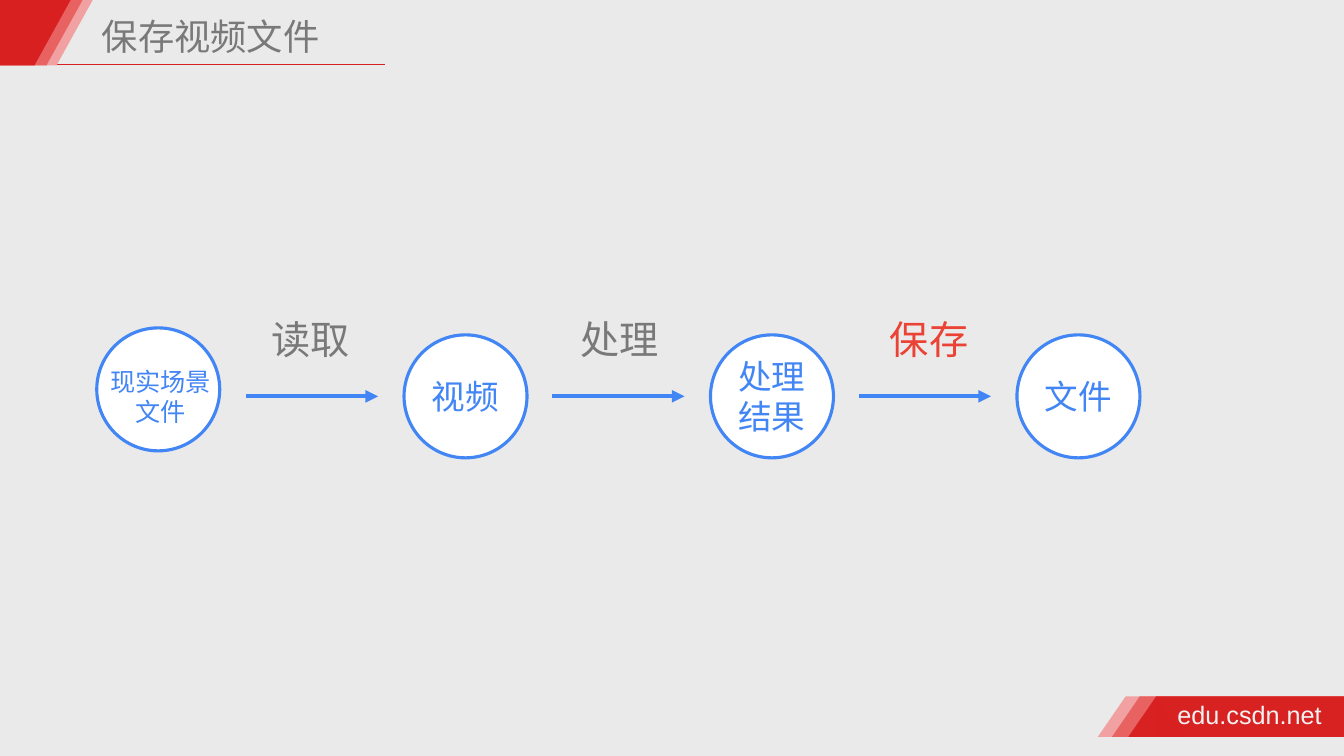
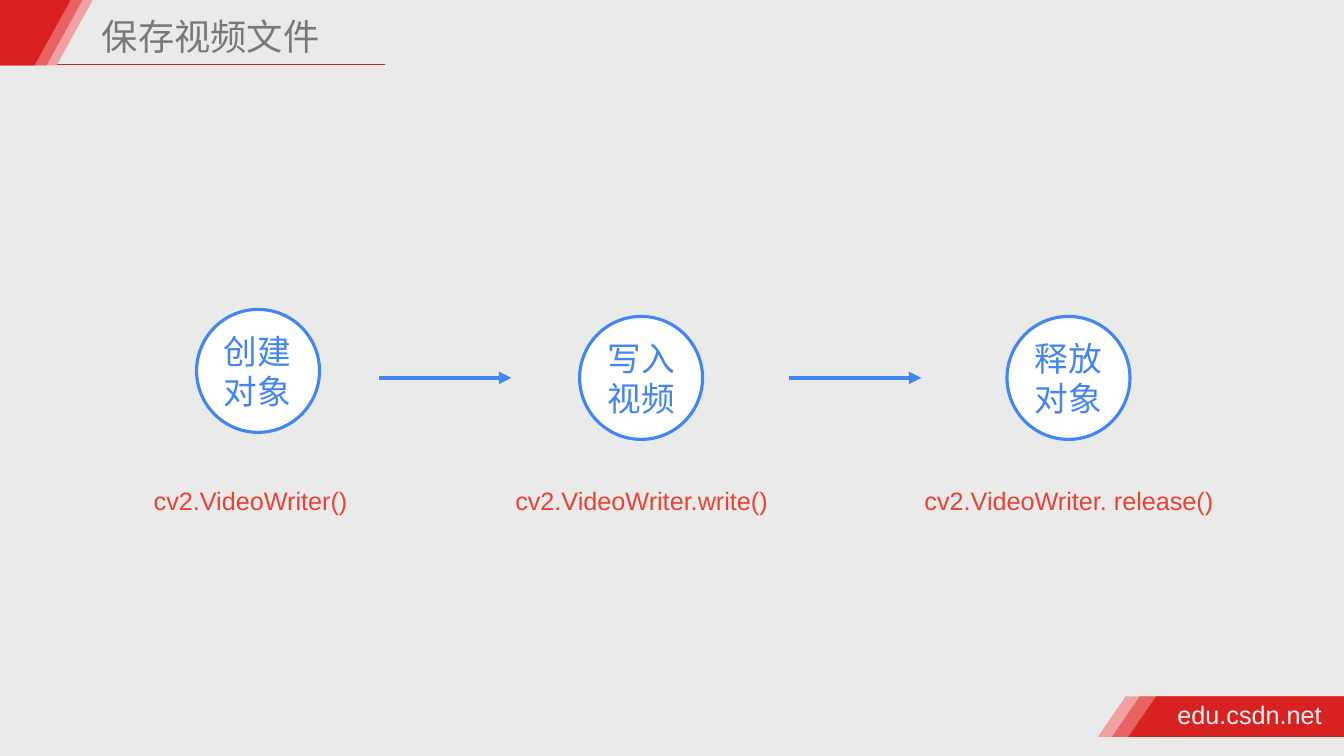
from dataclasses import dataclass

from lxml import etree
from pptx import Presentation
from pptx.dml.color import RGBColor
from pptx.enum import shapes, text
from pptx.oxml import ns
from pptx.util import Pt

BACKGROUND = RGBColor(0xEA, 0xEA, 0xEA)
RED = RGBColor(0xD8, 0x20, 0x20)
CORAL = RGBColor(0xE8, 0x62, 0x62)
PINK = RGBColor(0xF1, 0xA1, 0xA1)
BLUE = RGBColor(0x42, 0x85, 0xF4)
ACCENT = RGBColor(0xEA, 0x43, 0x35)
GREY = RGBColor(0x79, 0x79, 0x79)
WHITE = RGBColor(0xFF, 0xFF, 0xFF)
PALE = RGBColor(0xF2, 0xF2, 0xF2)

CHINESE = "Noto Sans CJK SC"
LATIN = "Arial"
PAGE_WIDTH, PAGE_HEIGHT = 960, 540
DIAMETER = 87.84
ARROW_LENGTH = 94.6


@dataclass
class Box:
    left: float
    top: float
    width: float
    height: float

    def lengths(self):
        return [Pt(value) for value in (self.left, self.top, self.width, self.height)]


def write(shape, lines, size, color, font=CHINESE, align=text.PP_ALIGN.CENTER,
          spacing=None, wrap=True, side=3.6):
    frame = shape.text_frame
    frame.word_wrap = wrap
    frame.margin_left = frame.margin_right = Pt(side)
    frame.margin_top = frame.margin_bottom = Pt(3.6)
    for index, line in enumerate(lines):
        para = frame.add_paragraph() if index else frame.paragraphs[0]
        para.alignment = align
        if spacing:
            para.line_spacing = spacing
        span = para.add_run()
        span.text = line
        span.font.size = Pt(size)
        span.font.name = font
        span.font.color.rgb = color
        east_asian = etree.SubElement(span.font._element, ns.qn("a:ea"))
        east_asian.set("typeface", font)
    return frame


def add_text(page, box, lines, size, color, grow=True, **style):
    frame = write(page.shapes.add_textbox(*box.lengths()), lines, size, color, **style)
    if grow:
        frame.auto_size = text.MSO_AUTO_SIZE.SHAPE_TO_FIT_TEXT


def add_filled(page, kind, box, color, alpha=None):
    shape = page.shapes.add_shape(kind, *box.lengths())
    shape.shadow.inherit = False
    shape.fill.solid()
    shape.fill.fore_color.rgb = color
    shape.line.fill.background()
    if alpha:
        tint = shape._element.spPr.find(".//" + ns.qn("a:srgbClr"))
        etree.SubElement(tint, ns.qn("a:alpha")).set("val", str(alpha * 1000))
    return shape


def add_line(page, start, end, y, color, width, arrow=False):
    line = page.shapes.add_connector(
        shapes.MSO_CONNECTOR.STRAIGHT, Pt(start), Pt(y), Pt(end), Pt(y))
    line.line.color.rgb = color
    line.line.width = Pt(width)
    if arrow:
        etree.SubElement(line.line._get_or_add_ln(), ns.qn("a:tailEnd")).set("type", "triangle")
    etree.SubElement(line._element.spPr, ns.qn("a:effectLst"))


def slanted_band(page, box, slant, color, pointing_down=False, alpha=None):
    add_filled(page, shapes.MSO_SHAPE.RECTANGLE, box, color, alpha)
    middle = box.left + box.width if pointing_down else box.left
    corner = Box(middle - slant / 2, box.top, slant, box.height)
    triangle = add_filled(page, shapes.MSO_SHAPE.ISOSCELES_TRIANGLE, corner, color, alpha)
    if pointing_down:
        triangle.rotation = 180


def header(page, box, title):
    add_line(page, box.left + 35.3, box.left + 275, box.top + 46.1, RED, 1)
    for width, color in ((40.3, PINK), (33.1, CORAL), (24.5, RED)):
        slanted_band(page, Box(box.left, box.top, width, box.height), 51.84, color, True)
    add_text(page, Box(box.left + 69.1, box.top + 3.6, 277.9, 40.3), [title], 25.9, GREY,
             grow=False, align=text.PP_ALIGN.LEFT, spacing=1.1)


def footer(page, box):
    for offset, color, alpha in ((0, PINK, None), (10.1, CORAL, None), (21.8, RED, 97)):
        band = Box(box.left + offset, box.top, box.width - offset, box.height)
        slanted_band(page, band, 39.6, color, alpha=alpha)
    add_text(page, Box(box.left + 33.4, box.top - 1.4, 111.6, 28.8), ["edu.csdn.net"], 18, PALE,
             font=LATIN, align=text.PP_ALIGN.LEFT, wrap=False)


def circle(page, left, top, label=None):
    shape = add_filled(page, shapes.MSO_SHAPE.OVAL, Box(left, top, DIAMETER, DIAMETER), WHITE)
    shape.line.color.rgb = BLUE
    shape.line.width = Pt(2.25)
    if label:
        frame = write(shape, [label], 24, BLUE)
        frame.vertical_anchor = text.MSO_ANCHOR.MIDDLE


def process_flow(page, box):
    pitch = 218.9
    circle_top = box.top + 34
    circle(page, box.left, circle_top - 5)
    for index, label in enumerate(("视频", "处理结果", "文件"), 1):
        circle(page, box.left + index * pitch + 0.6, circle_top, label)
    add_text(page, Box(box.left - 5.8, box.top + 52.6, 103, 51.1), ["现实场景", "文件"],
             18, BLUE, side=7.2)
    for index, (label, color) in enumerate((("读取", GREY), ("处理", GREY), ("保存", ACCENT))):
        start = box.left + 106.4 + index * pitch
        add_line(page, start, start + ARROW_LENGTH, circle_top + DIAMETER / 2, BLUE, 3, True)
        add_text(page, Box(box.left + 121 + index * 221, box.top, 64.1, 58.3), [label],
                 28, color, align=text.PP_ALIGN.LEFT, spacing=1.5, wrap=False)


def writer_flow(page, box):
    circle_top = box.top + 5
    circle(page, box.left, box.top)
    add_text(page, Box(box.left - 7.9, box.top + 11.5, 103, 65.5), ["创建", "对象"],
             24, BLUE, side=7.2)
    for offset, label in ((273.6, "写入视频"), (578.9, "释放对象")):
        circle(page, box.left + offset, circle_top, label)
    for offset in (130.3, 423.2):
        start = box.left + offset
        add_line(page, start, start + ARROW_LENGTH, circle_top + DIAMETER / 2, BLUE, 3, True)
    calls = ((-48.2, 173.5, "cv2.VideoWriter()"),
             (205.2, 225.4, "cv2.VideoWriter.write()"),
             (510.5, 225.4, "cv2.VideoWriter. release()"))
    for offset, width, call in calls:
        add_text(page, Box(box.left + offset, box.top + 122.4, width, 28.8), [call],
                 18, ACCENT, font=LATIN, side=7.2)


def main():
    deck = Presentation()
    deck.slide_width, deck.slide_height = Pt(PAGE_WIDTH), Pt(PAGE_HEIGHT)
    flows = ((process_flow, Box(69.1, 205.2, 745, 122)),
             (writer_flow, Box(140.4, 221, 667, 152)))
    for flow, box in flows:
        page = deck.slides.add_slide(deck.slide_layouts[6])
        page.background.fill.solid()
        page.background.fill.fore_color.rgb = BACKGROUND
        footer(page, Box(804, 497.5, PAGE_WIDTH - 804, 28.8))
        header(page, Box(0, 0, 347, 46.8), "保存视频文件")
        flow(page, box)
    deck.save("out.pptx")


if __name__ == "__main__":
    main()
